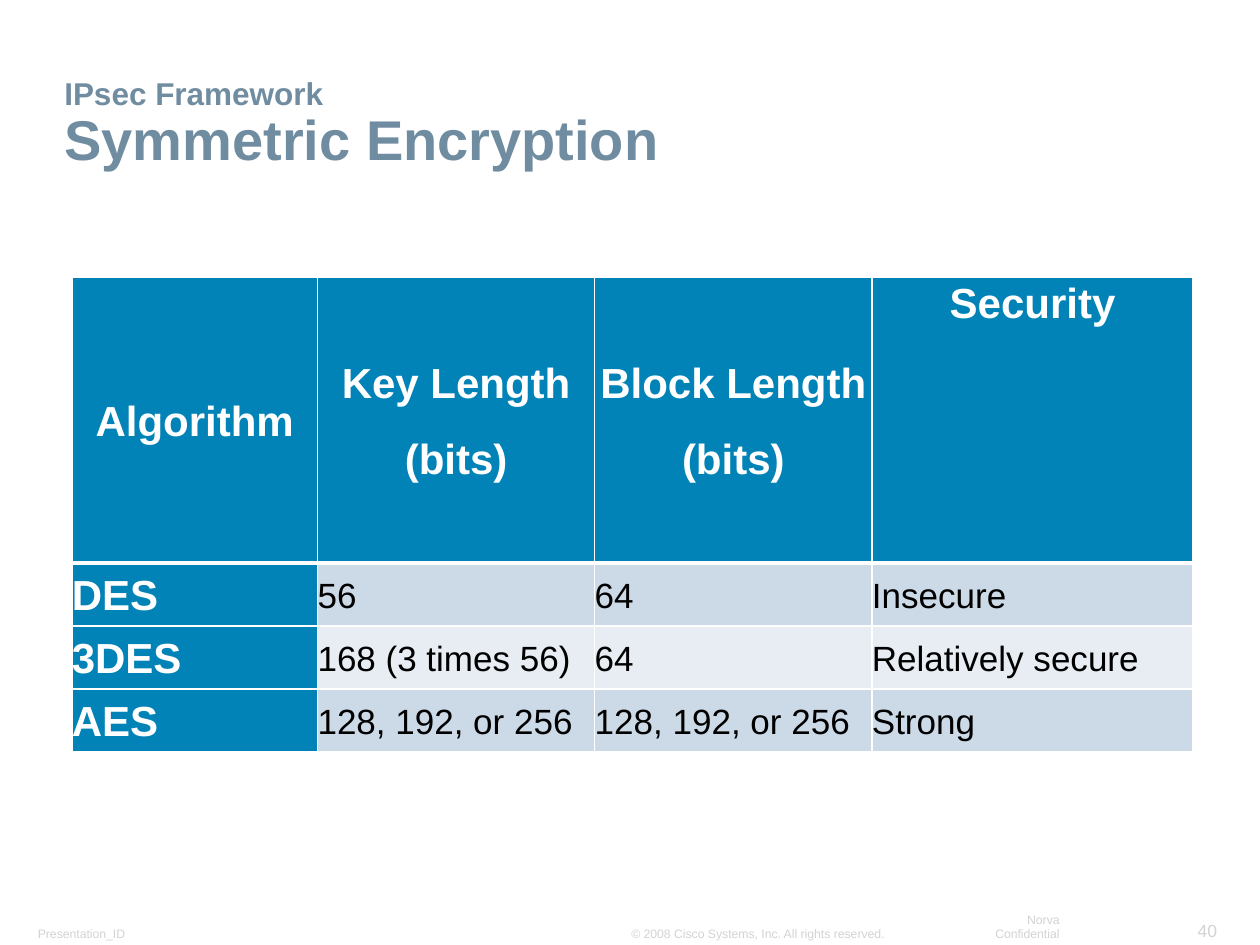
from lxml.etree import SubElement
from pptx import Presentation
from pptx.dml.color import RGBColor
from pptx.enum.text import MSO_ANCHOR, PP_ALIGN
from pptx.oxml.ns import qn
from pptx.util import Inches, Pt

COLORS = {
    "title": "708CA1",
    "footer": "D3D3D3",
    "header": "0183B7",
    "odd_row": "CCD9E6",
    "even_row": "E7EDF3",
    "white": "FFFFFF",
    "black": "000000",
}
COLUMN_WIDTHS = [1.95, 2.2, 2.2, 2.55]
ROW_HEIGHTS = [2.27, 0.5, 0.5, 0.5]
ROWS = [
    ["Algorithm", "Key Length\n(bits)", "Block Length\n(bits)", "Security"],
    ["DES", "56", "64", "Insecure"],
    ["3DES", "168 (3 times 56)", "64", "Relatively secure"],
    ["AES", "128, 192, or 256", "128, 192, or 256", "Strong"],
]
FOOTERS = [
    ("Presentation_ID", (0.21, 7.3, 1.05, 0.21), 7, PP_ALIGN.LEFT),
    ("40", (9.4, 7.25, 0.35, 0.26), 10, PP_ALIGN.RIGHT),
    ("© 2008 Cisco Systems, Inc. All rights reserved.", (4.92, 7.3, 2.21, 0.21), 7, PP_ALIGN.LEFT),
    ("Norva Confidential", (7.54, 7.3, 0.96, 0.21), 7, PP_ALIGN.RIGHT),
]


def set_attributes(target, values):
    """Set each named attribute of the target."""
    for name, value in values.items():
        setattr(target, name, value)


def format_font(font, size, color, bold=False):
    """Apply typeface, size, weight and colour to a font."""
    set_attributes(font, {"name": "Arial", "size": Pt(size), "bold": bold})
    font.color.rgb = RGBColor.from_string(COLORS[color])


def add_text_frame(slide, box, wrap):
    """Add a bottom-anchored text box and return its frame."""
    frame = slide.shapes.add_textbox(*map(Inches, box)).text_frame
    set_attributes(frame, {
        "word_wrap": wrap,
        "vertical_anchor": MSO_ANCHOR.BOTTOM,
        "margin_left": Inches(0.09),
        "margin_right": Inches(0.09),
        "margin_top": Inches(0.04),
        "margin_bottom": Inches(0.04),
    })
    return frame


def add_title(slide, box):
    """Add the small section name above the large slide title."""
    paragraph = add_text_frame(slide, box, True).paragraphs[0]
    paragraph.line_spacing = 0.9
    section = paragraph.add_run()
    section.text = "IPsec Framework"
    format_font(section.font, 18, "title", True)
    paragraph.add_line_break()
    title = paragraph.add_run()
    title.text = "Symmetric Encryption"
    format_font(title.font, 32, "title", True)


def add_footer(slide, text, box, size, alignment):
    """Add one grey footer label."""
    paragraph = add_text_frame(slide, box, False).paragraphs[0]
    set_attributes(paragraph, {"text": text, "alignment": alignment})
    format_font(paragraph.runs[0].font, size, "footer")


def set_borders(cell, widths):
    """Draw white cell borders with the given point widths by side."""
    properties = cell._tc.get_or_add_tcPr()
    for side, width in widths.items():
        line = SubElement(properties, qn(f"a:ln{side}"), w=str(Pt(width)))
        fill = SubElement(line, qn("a:solidFill"))
        SubElement(fill, qn("a:srgbClr"), val=COLORS["white"])


def fill_cell(cell, text, row, column):
    """Write and style a table cell by its row and column."""
    is_header = row == 0
    is_label = is_header or column == 0
    is_top = is_header and column == len(COLUMN_WIDTHS) - 1
    set_attributes(cell, {
        "text": text,
        "vertical_anchor": MSO_ANCHOR.TOP if is_top else MSO_ANCHOR.MIDDLE,
        "margin_left": 0,
        "margin_right": 0,
        "margin_top": 0,
        "margin_bottom": 0,
    })
    set_borders(cell, {"L": 1, "R": 1, "T": 3 if row == 1 else 1, "B": 3 if is_header else 1})
    body_fill = "odd_row" if row % 2 else "even_row"
    cell.fill.solid()
    cell.fill.fore_color.rgb = RGBColor.from_string(COLORS["header" if is_label else body_fill])
    for paragraph in cell.text_frame.paragraphs:
        set_attributes(paragraph, {
            "alignment": PP_ALIGN.CENTER if is_header else PP_ALIGN.LEFT,
            "line_spacing": 1.07,
            "space_after": Pt(15 if is_header else 8),
        })
        font = paragraph.runs[0].font
        format_font(font, 24 if is_label else 20, "white" if is_label else "black", is_label)


def add_algorithm_table(slide, box):
    """Add the table comparing the encryption algorithms."""
    table = slide.shapes.add_table(len(ROWS), len(COLUMN_WIDTHS), *map(Inches, box)).table
    for column, width in zip(table.columns, COLUMN_WIDTHS):
        column.width = Inches(width)
    for row, height in zip(table.rows, ROW_HEIGHTS):
        row.height = Inches(height)
    for row, texts in enumerate(ROWS):
        for column, text in enumerate(texts):
            fill_cell(table.cell(row, column), text, row, column)


def main():
    """Build and save the presentation."""
    presentation = Presentation()
    set_attributes(presentation, {"slide_width": Inches(10), "slide_height": Inches(7.5)})
    slide = presentation.slides.add_slide(presentation.slide_layouts[6])
    for footer in FOOTERS:
        add_footer(slide, *footer)
    add_algorithm_table(slide, (0.57, 2.2, 8.9, 3.77))
    add_title(slide, (0.42, 0.49, 8.91, 0.92))
    presentation.save("out.pptx")


if __name__ == "__main__":
    main()
